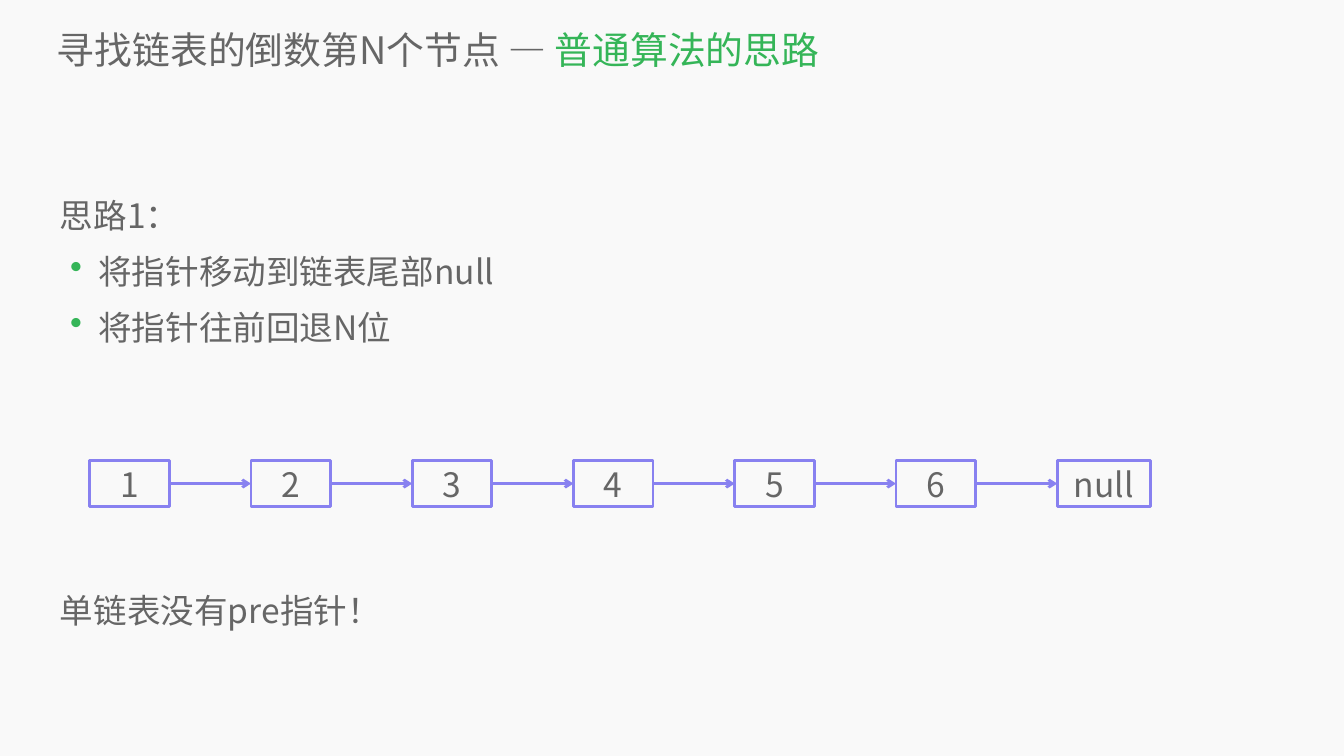
from pptx import Presentation
from pptx.dml.color import RGBColor
from pptx.enum import shapes, text
from pptx.oxml.ns import qn
from pptx.util import Inches, Pt
from lxml import etree

FONT = "Noto Sans CJK SC"
COLORS = {"back": "F9F9F9", "text": "666666", "green": "35B558", "node": "8881F0"}
LINE = 80.6  # body line pitch in points


def color(key):
    return RGBColor.from_string(COLORS[key])


def add_run(para, words, size=48, key="text"):
    run = para.add_run()
    run.text = words
    font = run.font
    font.name, font.size = FONT, Pt(size)
    font.color.rgb = color(key)
    etree.SubElement(font._element, qn("a:ea"), typeface=FONT)


def add_box(slide, left, top, width, height, anchor):
    box = slide.shapes.add_textbox(*map(Inches, (left, top, width, height)))
    frame = box.text_frame
    frame.word_wrap = True
    frame.vertical_anchor = anchor
    frame.margin_left = frame.margin_right = 0
    frame.margin_top = frame.margin_bottom = 0
    return frame


def add_bullet(para):
    props = para._p.get_or_add_pPr()
    props.set("marL", str(Inches(0.76)))
    props.set("indent", str(Inches(-0.56)))
    tint = etree.SubElement(props, qn("a:buClr"))
    etree.SubElement(tint, qn("a:srgbClr"), val=COLORS["green"])
    etree.SubElement(props, qn("a:buSzPct"), val="105000")
    etree.SubElement(props, qn("a:buChar"), char="•")


def add_node(slide, left, label, width):
    node = slide.shapes.add_shape(
        shapes.MSO_SHAPE.RECTANGLE,
        Inches(left), Inches(9.14), Inches(width), Inches(0.91))
    node.shadow.inherit = False
    node.fill.background()
    node.line.color.rgb = color("node")
    node.line.width = Pt(4)
    frame = node.text_frame
    frame.word_wrap = False
    frame.margin_top = frame.margin_bottom = 0
    frame.vertical_anchor = text.MSO_ANCHOR.MIDDLE
    para = frame.paragraphs[0]
    para.alignment = text.PP_ALIGN.CENTER
    add_run(para, label)
    return node


def add_arrow(slide, start, end):
    arrow = slide.shapes.add_connector(shapes.MSO_CONNECTOR.STRAIGHT, 0, 0, 0, 0)
    arrow.begin_connect(start, 3)
    arrow.end_connect(end, 1)
    arrow.line.color.rgb = color("node")
    arrow.line.width = Pt(4)
    etree.SubElement(arrow.line._get_or_add_ln(), qn("a:tailEnd"), type="arrow")
    etree.SubElement(arrow._element.spPr, qn("a:effectLst"))


def add_body(slide):
    frame = add_box(slide, 1.19, 3.54, 24.28, 11.19, text.MSO_ANCHOR.TOP)
    # Words, bullet, lines of space before
    rows = [
        ("思路1：", False, 0),
        ("将指针移动到链表尾部null", True, 0),
        ("将指针往前回退N位", True, 0),
        ("单链表没有pre指针！", False, 4),
    ]
    for i, (words, bullet, gap) in enumerate(rows):
        para = frame.add_paragraph() if i else frame.paragraphs[0]
        para.line_spacing = Pt(LINE)
        para.space_before = Pt(gap * LINE)
        if bullet:
            add_bullet(para)
        add_run(para, words)


def main():
    deck = Presentation()
    deck.slide_width, deck.slide_height = Inches(26.67), Inches(15)
    slide = deck.slides.add_slide(deck.slide_layouts[6])
    slide.background.fill.solid()
    slide.background.fill.fore_color.rgb = color("back")

    # Title
    title = add_box(slide, 1.13, 0.47, 25.16, 1.02, text.MSO_ANCHOR.MIDDLE)
    add_run(title.paragraphs[0], "寻找链表的倒数第N个节点 — ", 54)
    add_run(title.paragraphs[0], "普通算法的思路", 54, "green")

    # Steps and remark
    add_body(slide)

    # Linked list
    last = None
    for i, label in enumerate(["1", "2", "3", "4", "5", "6", "null"]):
        width = 1.85 if label == "null" else 1.58
        node = add_node(slide, 1.78 + 3.2 * i, label, width)
        if last is not None:
            add_arrow(slide, last, node)
        last = node

    deck.save("out.pptx")


if __name__ == "__main__":
    main()
